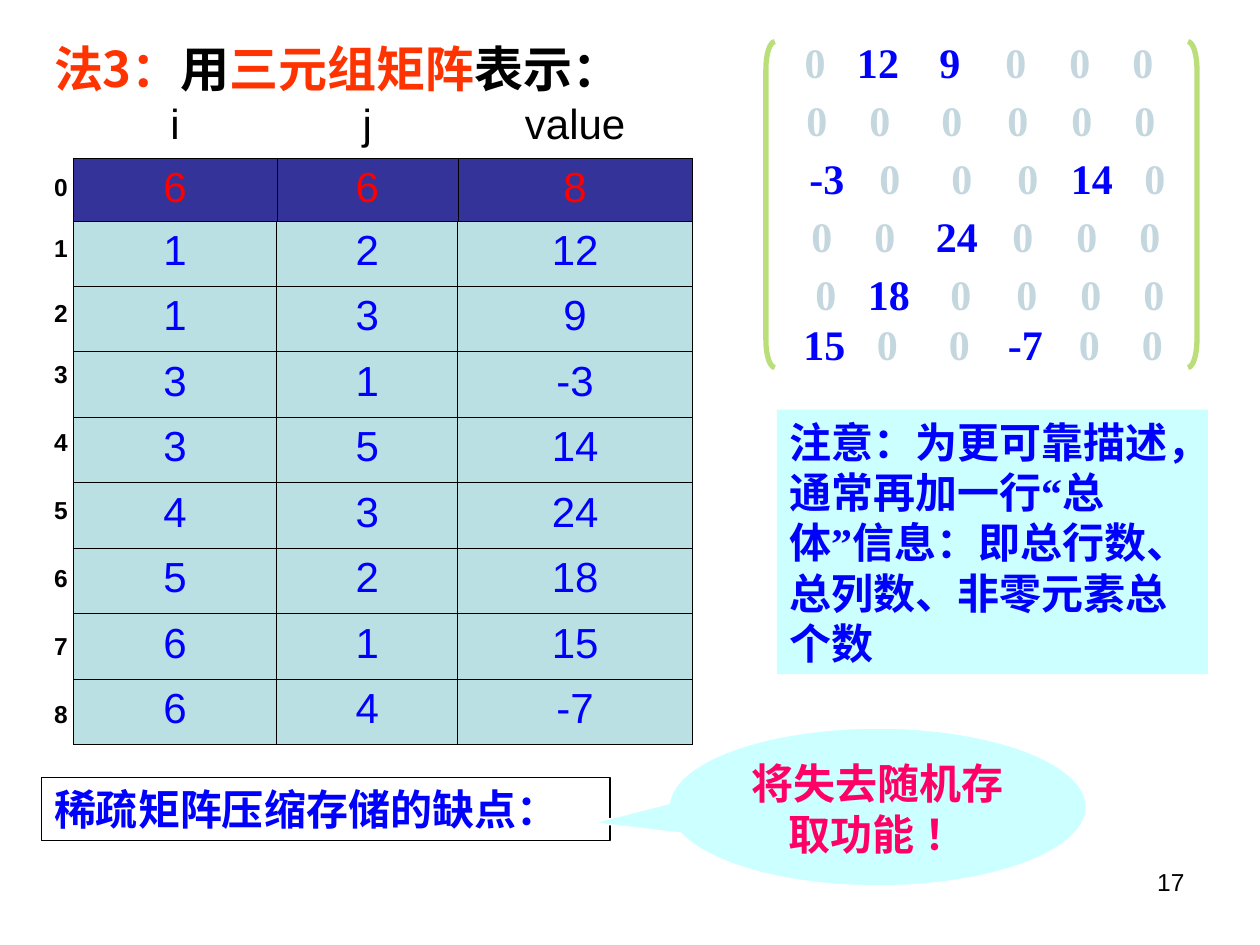
from dataclasses import dataclass

from lxml.etree import SubElement as Sub
from pptx import Presentation
from pptx.dml.color import RGBColor as Rgb
from pptx.enum.shapes import MSO_SHAPE as Kind
from pptx.enum.text import MSO_ANCHOR as Anchor, MSO_AUTO_SIZE as Auto, PP_ALIGN as Align
from pptx.oxml.ns import qn
from pptx.util import Cm, Pt


@dataclass(frozen=True)
class Theme:
    black: str = "000000"
    white: str = "FFFFFF"
    orange: str = "FF3300"
    red: str = "FF0000"
    pink: str = "FF0066"
    blue: str = "0000FF"
    navy: str = "333399"
    teal: str = "BBE0E3"
    aqua: str = "CCFFFF"
    green: str = "BADE78"
    pale: str = "C4D7DE"
    sans: str = "Arial"
    serif: str = "Times New Roman"
    han: str = "Noto Sans CJK SC"
    head: int = 28
    body: int = 24
    small: int = 14


def write(frame, runs, size, color, font, bold=False, align=Align.LEFT,
          anchor=Anchor.TOP, wrap=True, pad=(0.25, 0.13), stops=()):
    frame.word_wrap = wrap
    frame.auto_size = Auto.NONE
    frame.vertical_anchor = anchor
    frame.margin_left = frame.margin_right = Cm(pad[0])
    frame.margin_top = frame.margin_bottom = Cm(pad[1])
    para = frame.paragraphs[0]
    para.alignment = align
    if stops:
        tabs = Sub(para._p.get_or_add_pPr(), qn("a:tabLst"))
        for stop in stops:
            Sub(tabs, qn("a:tab"), pos=str(Cm(stop)), algn="ctr")
    for part in [runs] if isinstance(runs, str) else runs:
        text, tint, face, east = (*part, None, None)[:4] if isinstance(part, tuple) \
            else (part, None, None, None)
        run = para.add_run()
        run.text = text
        run.font.size = Pt(size)
        run.font.bold = bold
        run.font.name = face or font
        run.font.color.rgb = Rgb.from_string(tint or color)
        Sub(run._r.get_or_add_rPr(), qn("a:ea"), typeface=east or Theme.han)


class Deck:
    def __init__(self, theme):
        self.theme = theme
        self.file = Presentation()
        self.file.slide_width, self.file.slide_height = Cm(25.4), Cm(19.05)
        self.slide = self.file.slides.add_slide(self.file.slide_layouts[5])

    def title(self, box, runs, **form):
        shape = self.slide.shapes.title
        shape.left, shape.top, shape.width, shape.height = map(Cm, box)
        write(shape.text_frame, runs, **form)

    def text(self, box, runs, **form):
        shape = self.slide.shapes.add_textbox(*map(Cm, box))
        write(shape.text_frame, runs, **form)

    def shape(self, kind, box, fill=None, line=None, width=0.75, adjust=(), runs=(), **form):
        shape = self.slide.shapes.add_shape(kind, *map(Cm, box))
        shape.shadow.inherit = False
        for spot, value in enumerate(adjust):
            shape.adjustments[spot] = value
        if fill:
            shape.fill.solid()
            shape.fill.fore_color.rgb = Rgb.from_string(fill)
        else:
            shape.fill.background()
        if line:
            shape.line.color.rgb = Rgb.from_string(line)
            shape.line.width = Pt(width)
        else:
            shape.line.fill.background()
        if runs:
            write(shape.text_frame, runs, **form)

    def border(self, cell, width):
        props = cell._tc.get_or_add_tcPr()
        for side in ("lnL", "lnR", "lnT", "lnB"):
            line = Sub(props, qn(f"a:{side}"), w=str(Pt(width)))
            fill = Sub(line, qn("a:solidFill"))
            Sub(fill, qn("a:srgbClr"), val=self.theme.black)

    def table(self, left, top, cols, tall, rows, fill=None, edge=None, **form):
        frame = self.slide.shapes.add_table(
            len(rows), len(cols), Cm(left), Cm(top), Cm(sum(cols)), Cm(sum(tall)))
        grid = frame.table
        grid.first_row = grid.horz_banding = False
        props = grid._tbl.tblPr
        props.find(qn("a:tableStyleId")).text = "{2D5ABB26-0587-4C30-8999-92F81FD0307C}"
        for col, size in zip(grid.columns, cols):
            col.width = Cm(size)
        for row, size, values in zip(grid.rows, tall, rows):
            row.height = Cm(size)
            for cell, value in zip(row.cells, values):
                if edge:
                    self.border(cell, edge)
                if fill:
                    cell.fill.solid()
                    cell.fill.fore_color.rgb = Rgb.from_string(fill)
                else:
                    cell.fill.background()
                self.fill_cell(cell, value, **form)

    def fill_cell(self, cell, value, size, color, bold=False, align=Align.CENTER):
        cell.margin_left = cell.margin_right = Cm(0.25)
        cell.margin_top = cell.margin_bottom = Cm(0.13)
        para = cell.text_frame.paragraphs[0]
        para.alignment = align
        run = para.add_run()
        run.text = str(value)
        run.font.size, run.font.bold = Pt(size), bold
        run.font.name = self.theme.sans
        run.font.color.rgb = Rgb.from_string(color)


def main():
    look = Theme()
    deck = Deck(look)
    bold = dict(size=look.body, bold=True, font=look.serif)

    deck.text((18.21, 17.35, 5.92, 1.32), "17", size=look.small,
              color=look.black, font=look.sans, align=Align.RIGHT)
    deck.title((0.84, 0.64, 11.23, 2.64),
               [("法3：", look.orange), "用", ("三元组矩阵", look.orange), "表示："],
               size=look.head, color=look.black, font=look.han, bold=True)

    for kind, left in ((Kind.LEFT_BRACKET, 15.44), (Kind.RIGHT_BRACKET, 23.95)):
        deck.shape(kind, (left, 0.84, 0.18, 6.57), line=look.green, width=3, adjust=[3.14])

    matrix = [[0, 12, 9, 0, 0, 0], [0, 0, 0, 0, 0, 0], [-3, 0, 0, 0, 14, 0],
              [0, 0, 24, 0, 0, 0], [0, 18, 0, 0, 0, 0], [15, 0, 0, -7, 0, 0]]
    tops = (0.84, 2.01, 3.18, 4.34, 5.51, 6.53)
    shifts = (-0.14, -0.1, 0.1, 0, 0.08, 0.05)
    stops = (0.97, 2.24, 3.69, 5.02, 6.31, 7.58)
    for row, top, shift in zip(matrix, tops, shifts):
        runs = [(f"\t{n}", look.blue if n else look.pale) for n in row]
        deck.text((15.6 + shift, top, 8.3, 0.81), runs, color=look.pale,
                  anchor=Anchor.MIDDLE, pad=(0, 0), stops=stops, **bold)

    cols = (4.1, 3.65, 4.73)
    items = [(r, c, n) for r, row in enumerate(matrix, 1)
             for c, n in enumerate(row, 1) if n]
    deck.table(1.48, 4.45, cols, [1.32] * len(items), items, fill=look.teal,
               edge=0.45, size=look.body, color=look.blue)
    deck.shape(Kind.RECTANGLE, (15.66, 8.26, 8.69, 5.33), fill=look.aqua,
               runs=["注意：为更可靠描述，通常再加一行",
                     ("“", look.blue, look.serif, look.serif), "总体",
                     ("”", look.blue, look.serif, look.serif),
                     "信息：即总行数、总列数、非零元素总个数"],
               size=look.body, color=look.blue, font=look.han, bold=True)
    total = (len(matrix), len(matrix[0]), len(items))
    deck.table(1.48, 3.18, cols, [1.27], [total], fill=look.navy,
               edge=0.11, size=look.body, color=look.red)
    deck.table(1.48, 1.91, cols, [1.27], [("i", "j", "value")],
               size=look.body, color=look.black)
    deck.shape(Kind.RECTANGLE, (0.84, 15.67, 11.46, 1.27), line=look.black,
               runs="稀疏矩阵压缩存储的缺点：", color=look.blue, **bold)
    tall = (1.22, 1.32, 1.22, *[1.37] * 5, 1.22)
    deck.table(0.84, 3.39, [0.84], tall, [[n] for n in range(len(tall))],
               size=look.small, color=look.black, bold=True, align=Align.LEFT)
    deck.shape(Kind.OVAL_CALLOUT, (13.49, 14.68, 8.41, 3.18), fill=look.aqua,
               line=look.white, adjust=[-0.68, 0.1], runs="将失去随机存取功能 ！",
               color=look.pink, align=Align.CENTER, anchor=Anchor.TOP, **bold)
    deck.file.save("out.pptx")


if __name__ == "__main__":
    main()
